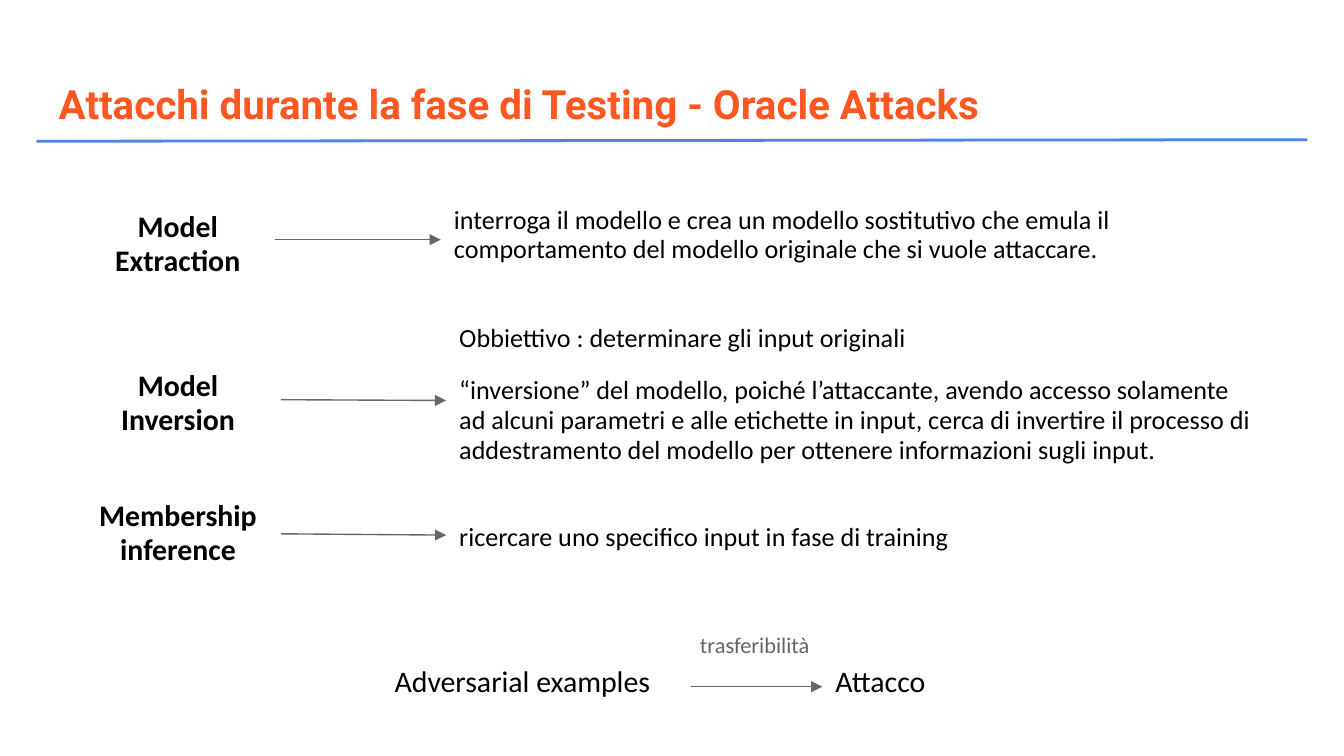
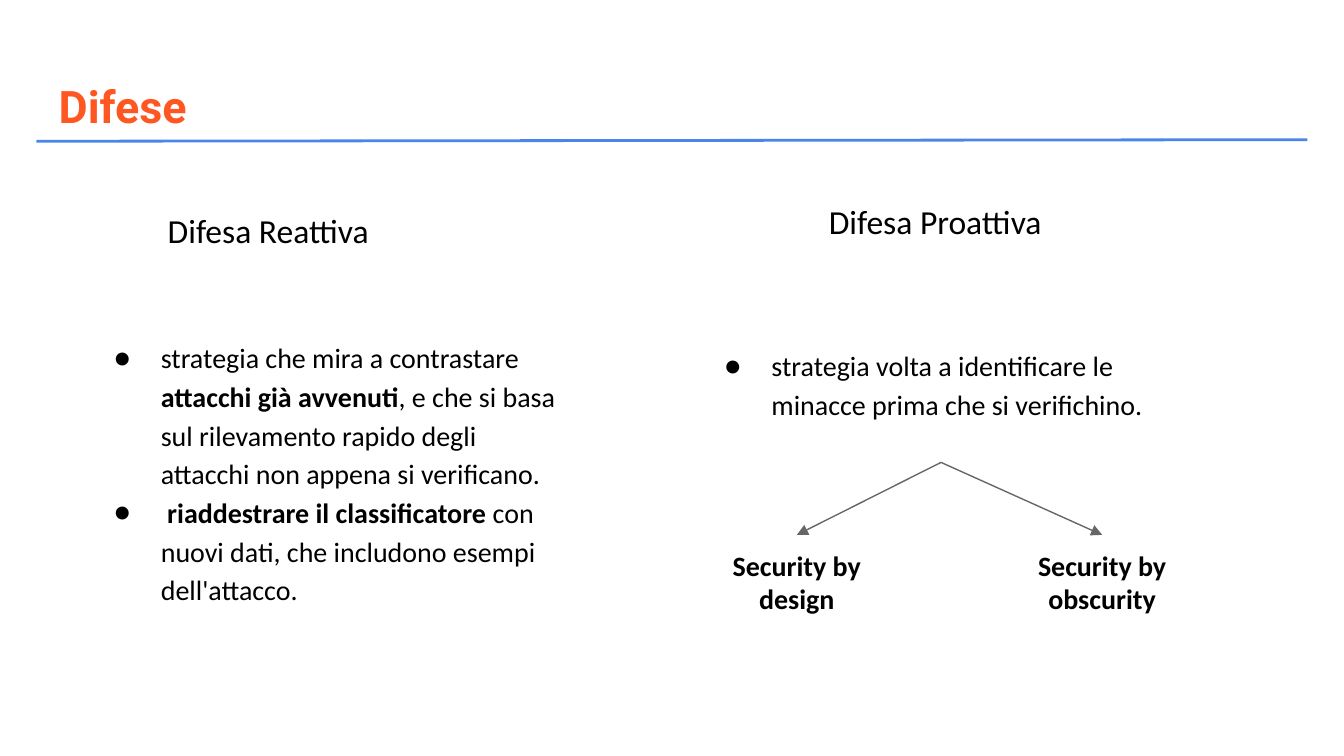
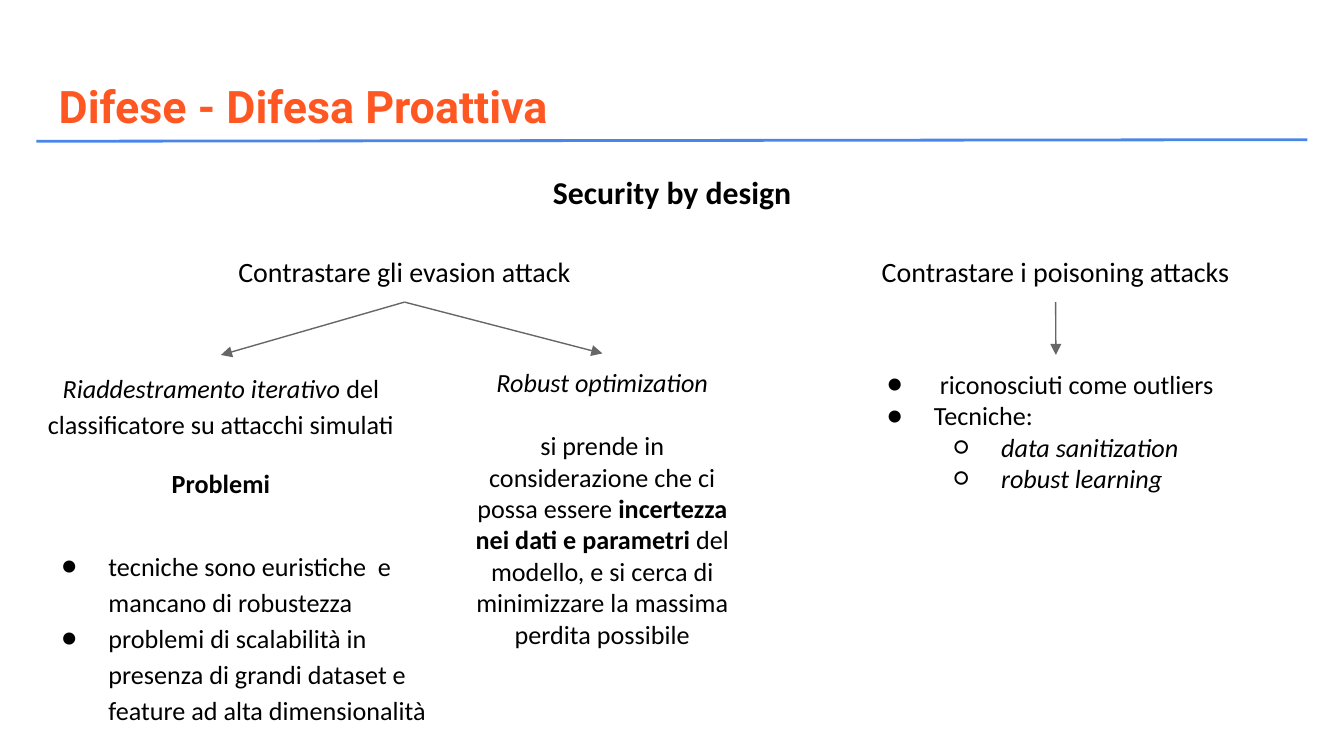
"""Build three slides on oracle attacks and on defences for machine learning models."""
from lxml import etree
from pptx import Presentation
from pptx.dml.color import RGBColor
from pptx.enum.shapes import MSO_CONNECTOR
from pptx.enum.text import MSO_ANCHOR, MSO_AUTO_SIZE, PP_ALIGN
from pptx.oxml.ns import qn
from pptx.util import Cm, Pt

LEFT, CENTER = PP_ALIGN.LEFT, PP_ALIGN.CENTER
TOP, NO_FIT = MSO_ANCHOR.TOP, MSO_AUTO_SIZE.NONE
STRAIGHT = MSO_CONNECTOR.STRAIGHT
SIDE_TOP, SIDE_LEFT, SIDE_BOTTOM, SIDE_RIGHT = range(4)
COMPARISON_LAYOUT = 4

THEME = {
    "colors": {"title": "FF5722", "rule": "4A86E8", "text": "000000", "muted": "666666"},
    "fonts": {"title": "Roboto", "text": "Calibri"},
    "widths": {"rule": 1.5, "arrow": 0.75},
    "bullets": "●○",
    "bullet_step": 1.27,
    "bullet_hang": 0.89,
    "inset": 0.25,
    "roles": {
        "title": {"size": 24, "bold": True, "font": "title", "color": "title"},
        "long title": {"size": 21.6, "bold": True, "font": "title", "color": "title"},
        "label": {"size": 16, "bold": True, "align": CENTER, "line": 0.95},
        "definition": {"size": 14, "line": 0.95},
        "term": {"size": 16},
        "caption": {"size": 12, "color": "muted"},
        "reactive": {"size": 18, "align": CENTER, "line": 1.15},
        "proactive": {"size": 18, "align": CENTER, "line": 0.95},
        "strategy": {"size": 15, "line": 1.15},
        "branch": {"size": 15, "bold": True, "align": CENTER},
        "heading": {"size": 17, "bold": True, "align": CENTER},
        "goal": {"size": 15, "align": CENTER, "line": 1.15},
        "loose note": {"size": 14, "align": CENTER, "line": 1.15},
        "note": {"size": 14, "align": CENTER},
        "loose list": {"size": 14, "line": 1.15},
        "list": {"size": 14},
    },
}

SLIDE_SIZE = (25.4, 14.29)
TITLE_BOX = (0.86, 1.24, 23.67, 1.6)
RULE = (0.69, 2.67, 24.71, 2.64)


def para(*runs, before=0, level=None):
    """Describe a paragraph; a run is a string or a (text, style) pair."""
    pairs = [(run, "") if isinstance(run, str) else run for run in runs]
    return {"runs": pairs, "before": before, "level": level}


def block(role, box, *paragraphs, body=False):
    """Describe a block of text in a box of left, top, width and height."""
    return {"role": role, "box": box, "body": body,
            "paragraphs": [para(p) if isinstance(p, str) else p for p in paragraphs]}


SLIDES = [
    {
        "title": "Attacchi durante la fase di Testing - Oracle Attacks",
        "title_role": "long title",
        "blocks": {
            "extraction": block("label", (1.52, 3.73, 3.68, 1.6), "Model Extraction", body=True),
            "extraction text": block(
                "definition", (8.33, 3.63, 15.52, 1.8),
                "interroga il modello e crea un modello sostitutivo che emula il "
                "comportamento del modello originale che si vuole attaccare."),
            "inversion": block("label", (1.42, 6.73, 3.89, 1.65), "Model Inversion", body=True),
            "inversion text": block(
                "definition", (8.43, 5.87, 15.52, 3.4),
                "Obbiettivo : determinare gli input originali",
                para("“inversione” del modello, poiché l’attaccante, avendo accesso solamente "
                     "ad alcuni parametri e alle etichette in input, cerca di invertire il processo "
                     "di addestramento del modello per ottenere informazioni sugli input.",
                     before=12)),
            "membership": block("label", (1.42, 9.19, 3.89, 1.8), "Membership inference", body=True),
            "membership text": block("definition", (8.43, 9.63, 15.52, 0.97),
                                     "ricercare uno specifico input in fase di training"),
            "examples": block("term", (7.21, 12.27, 5.84, 1.42), "Adversarial examples"),
            "attack": block("term", (15.54, 12.27, 2.62, 1.42), "Attacco"),
            "transfer": block("caption", (12.98, 11.68, 2.62, 0.76), "trasferibilità"),
        },
        "across": [("extraction", "extraction text"), ("inversion", "inversion text"),
                   ("membership", "membership text"), ("examples", "attack")],
        "down": [],
    },
    {
        "title": "Difese",
        "title_role": "title",
        "blocks": {
            "reactive": block("reactive", (2.77, 3.61, 4.6, 1.24), "Difesa Reattiva", body=True),
            "reactive list": block(
                "strategy", (1.52, 6.1, 9.45, 6.27),
                para("strategia che mira a contrastare ", ("attacchi già avvenuti", "bold"),
                     ", e che si basa sul rilevamento rapido degli attacchi non appena "
                     "si verificano.", level=0),
                para(" ", ("riaddestrare il classificatore", "bold"),
                     " con nuovi dati, che includono esempi dell'attacco.", level=0),
                body=True),
            "proactive": block("proactive", (14.22, 3.61, 6.91, 1.24), "Difesa Proattiva", body=True),
            "proactive list": block(
                "strategy", (13.06, 6.25, 9.45, 2.49),
                para("strategia volta a identificare le minacce prima che si verifichino.", level=0),
                body=True),
            "design": block("branch", (13.41, 10.11, 3.3, 1.24), "Security by design"),
            "obscurity": block("branch", (19.18, 10.11, 3.3, 1.6), "Security by obscurity"),
        },
        "across": [],
        "down": [("proactive list", "design"), ("proactive list", "obscurity")],
    },
    {
        "title": "Difese - Difesa Proattiva",
        "title_role": "title",
        "blocks": {
            "design": block("heading", (9.68, 3.02, 6.05, 1.24), "Security by design", body=True),
            "evasion": block("goal", (4.19, 4.47, 6.91, 1.24), "Contrastare gli evasion attack"),
            "retraining": block(
                "loose note", (0.53, 6.71, 7.29, 2.97),
                para(("Riaddestramento iterativo", "italic"),
                     " del classificatore su attacchi simulati"),
                para(("Problemi", "bold"), before=12)),
            "problems": block(
                "loose list", (0.53, 10.06, 8.46, 3.15),
                para("tecniche sono euristiche  e mancano di robustezza", level=0),
                para("problemi di scalabilità in presenza di grandi dataset e feature "
                     "ad alta dimensionalità", level=0),
                body=True),
            "robust": block(
                "note", (8.64, 6.68, 5.49, 6.58),
                para(("Robust optimization", "italic")),
                para("si prende in considerazione che ci possa essere ",
                     ("incertezza nei dati e parametri", "bold"),
                     " del modello, e si cerca di minimizzare la massima perdita possibile",
                     before=17)),
            "poisoning": block("goal", (15.72, 4.47, 8.46, 1.24), "Contrastare i poisoning attacks"),
            "outliers": block(
                "list", (16.13, 6.71, 7.65, 5.79),
                para(" riconosciuti come outliers", level=0),
                para("Tecniche:", level=0),
                para(("data sanitization", "italic"), level=1),
                para(("robust learning", "italic"), level=1),
                body=True),
        },
        "across": [],
        "down": [("evasion", "retraining"), ("evasion", "robust"), ("poisoning", "outliers")],
    },
]


def color(name):
    return RGBColor.from_string(THEME["colors"][name])


def apply(target, values):
    for name, value in values.items():
        setattr(target, name, value)


def place(holder, box):
    apply(holder, dict(zip(("left", "top", "width", "height"), map(Cm, box))))


def set_bullet(paragraph, level):
    """Give the paragraph its indent and bullet, or neither when level is None."""
    props = paragraph._p.get_or_add_pPr()
    if level is None:
        props.set("marL", "0")
        props.set("indent", "0")
        etree.SubElement(props, qn("a:buNone"))
        return
    paragraph.level = level
    props.set("marL", str(Cm(THEME["bullet_step"] * (level + 1))))
    props.set("indent", str(-Cm(THEME["bullet_hang"])))
    bullet_color = etree.SubElement(props, qn("a:buClr"))
    etree.SubElement(bullet_color, qn("a:srgbClr"), val=THEME["colors"]["text"])
    etree.SubElement(props, qn("a:buFont"), typeface=THEME["fonts"]["text"])
    etree.SubElement(props, qn("a:buChar"), char=THEME["bullets"][level])


def write(holder, content):
    """Place the holder and fill it with the formatted paragraphs."""
    place(holder, content["box"])
    role = THEME["roles"][content["role"]]
    frame = holder.text_frame
    apply(frame, {"word_wrap": True, "auto_size": NO_FIT, "vertical_anchor": TOP})
    apply(frame, {f"margin_{side}": Cm(THEME["inset"])
                  for side in ("left", "top", "right", "bottom")})
    for number, item in enumerate(content["paragraphs"]):
        paragraph = frame.add_paragraph() if number else frame.paragraphs[0]
        apply(paragraph, {"alignment": role.get("align", LEFT),
                          "line_spacing": role.get("line", 1.0),
                          "space_before": Pt(item["before"]), "space_after": Pt(0)})
        set_bullet(paragraph, item["level"])
        for text, style in item["runs"]:
            run = paragraph.add_run()
            run.text = text
            apply(run.font, {"name": THEME["fonts"][role.get("font", "text")],
                             "size": Pt(role["size"]),
                             "bold": role.get("bold", False) or style == "bold",
                             "italic": style == "italic"})
            run.font.color.rgb = color(role.get("color", "text"))


def add_line(slide, ends, color_name, width):
    line = slide.shapes.add_connector(STRAIGHT, *map(Cm, ends))
    line.line.color.rgb = color(color_name)
    line.line.width = Pt(THEME["widths"][width])
    etree.SubElement(line._element.spPr, qn("a:effectLst"))
    return line


def add_arrow(slide, start, start_side, end, end_side):
    arrow = add_line(slide, (0, 0, 0, 0), "muted", "arrow")
    arrow.begin_connect(start, start_side)
    arrow.end_connect(end, end_side)
    etree.SubElement(arrow.line._get_or_add_ln(), qn("a:tailEnd"), type="triangle")


def build_slide(deck, content):
    slide = deck.slides.add_slide(deck.slide_layouts[COMPARISON_LAYOUT])
    title, *bodies = slide.placeholders
    write(title, block(content["title_role"], TITLE_BOX, content["title"]))
    add_line(slide, RULE, "rule", "rule")
    holders = {}
    for name, item in content["blocks"].items():
        if item["body"]:
            holders[name] = bodies.pop(0)
        else:
            holders[name] = slide.shapes.add_textbox(*map(Cm, item["box"]))
        write(holders[name], item)
    for spare in bodies:
        spare._element.getparent().remove(spare._element)
    for start, end in content["across"]:
        add_arrow(slide, holders[start], SIDE_RIGHT, holders[end], SIDE_LEFT)
    for start, end in content["down"]:
        add_arrow(slide, holders[start], SIDE_BOTTOM, holders[end], SIDE_TOP)


def main():
    deck = Presentation()
    deck.slide_width, deck.slide_height = map(Cm, SLIDE_SIZE)
    for content in SLIDES:
        build_slide(deck, content)
    deck.save("out.pptx")


if __name__ == "__main__":
    main()
